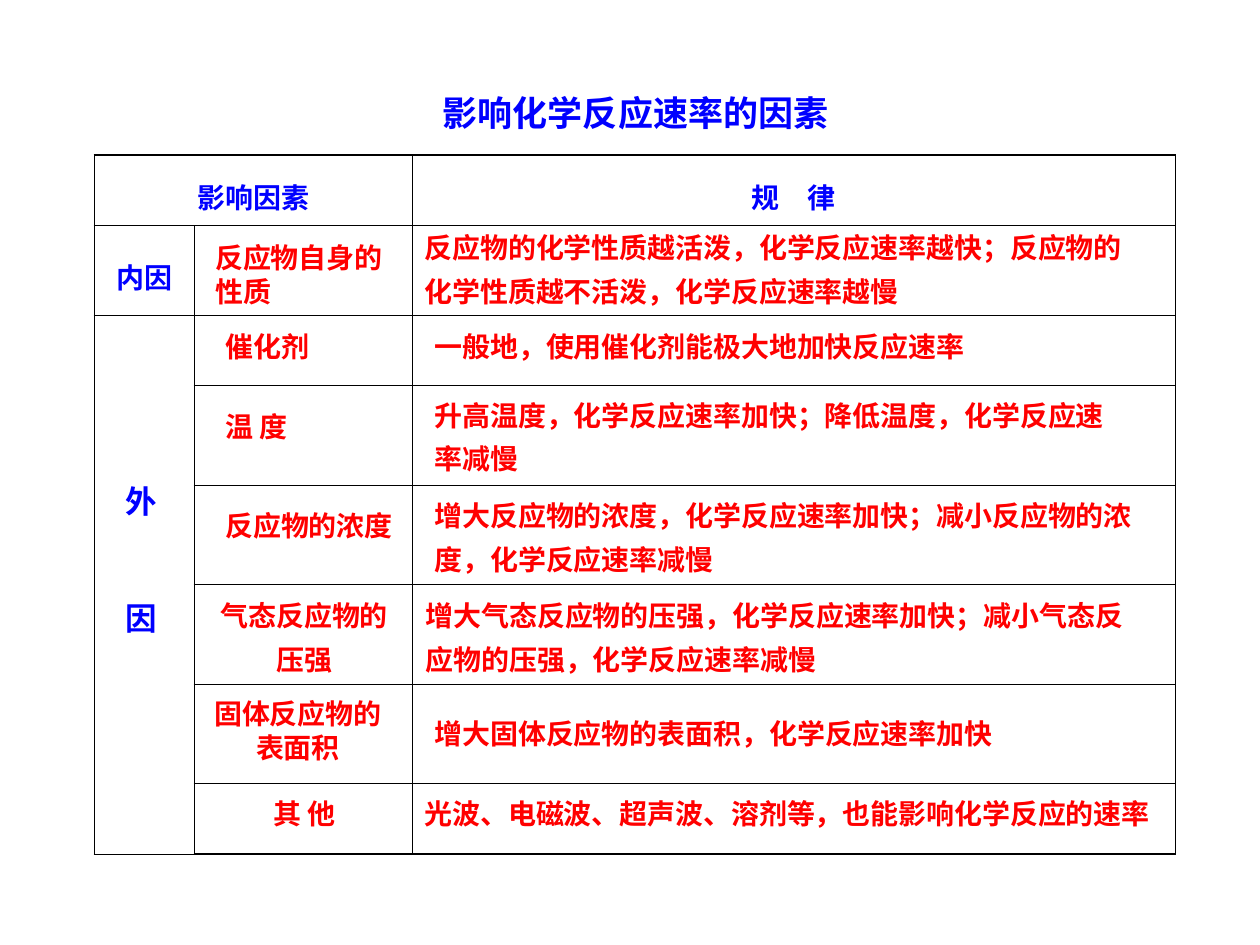
from dataclasses import dataclass
from itertools import accumulate

from lxml.etree import SubElement
from pptx import Presentation
from pptx.dml.color import RGBColor
from pptx.enum.text import MSO_ANCHOR, MSO_AUTO_SIZE, PP_ALIGN
from pptx.oxml.ns import qn
from pptx.util import Inches, Pt

BLUE, RED, BLACK = "0000FF", "FF0000", "000000"
SANS, ARIAL = "Noto Sans CJK SC", "Arial"
LOOSE = 1.3
LINE_HEIGHT, PADDING = 0.27, 0.1
OUTER, INNER = 1.08, 0.45
LEFT, TOP = 0.75, 1.23
COLUMNS = [0.79, 1.73, 6.06]
ROWS = [0.56, 0.71, 0.56, 0.79, 0.79, 0.79, 0.79, 0.56]
HEADERS = {0: "影响因素", 2: "规　律"}


@dataclass
class Label:
    row: int
    column: int
    shift: tuple
    width: float
    paragraphs: list
    lines: int = 1
    spacing: float = 1
    color: str = RED
    font: str = SANS
    size: int = 16
    gap: int = 0
    centered: bool = False
    wrap: bool = True


LABELS = [
    Label(1, 0, (0.08, 0.23), 0.79, ["内因"], color=BLUE),
    Label(2, 0, (0.15, 1.25), 0.61, ["外", "因"], 4, 1.1, BLUE, ARIAL, 18, 43),
    Label(1, 1, (0.07, 0.07), 1.57, ["反应物自身的性质"], 2),
    Label(2, 1, (0.15, 0.07), 1.1, ["催化剂"]),
    Label(3, 1, (0.15, 0.14), 1.02, ["温 度"]),
    Label(4, 1, (0.15, 0.14), 1.73, ["反应物的浓度"]),
    Label(5, 1, (-0.01, -0.02), 1.77, ["气态反应物的", "压强"], 2, LOOSE, centered=True),
    Label(6, 1, (-0.24, 0.05), 2.13, ["固体反应物的", "表面积"], 2, font=ARIAL, centered=True),
    Label(7, 1, (0.53, 0.05), 0.74, ["其 他"], wrap=False),
    Label(1, 2, (0, -0.09), 5.91,
          ["反应物的化学性质越活泼，化学反应速率越快；反应物的化学性质越不活泼，化学反应速率越慢"], 2, LOOSE),
    Label(2, 2, (0.08, -0.01), 4.96, ["一般地，使用催化剂能极大地加快反应速率"], 1, LOOSE),
    Label(3, 2, (0.08, -0.03), 5.67,
          ["升高温度，化学反应速率加快；降低温度，化学反应速率减慢"], 2, LOOSE),
    Label(4, 2, (0.08, -0.02), 5.83,
          ["增大反应物的浓度，化学反应速率加快；减小反应物的浓度，化学反应速率减慢"], 2, LOOSE),
    Label(5, 2, (0.01, -0.02), 5.97,
          ["增大气态反应物的压强，化学反应速率加快；减小气态反", "应物的压强，化学反应速率减慢"], 2, LOOSE),
    Label(6, 2, (0.08, 0.13), 5.91, ["增大固体反应物的表面积，化学反应速率加快"], 1, LOOSE, font=ARIAL),
    Label(7, 2, (0, 0.05), 6.22, ["光波、电磁波、超声波、溶剂等，也能影响化学反应的速率"]),
]


def style(paragraph, color, size=16, font=SANS, spacing=1, centered=False):
    paragraph.alignment = PP_ALIGN.CENTER if centered else PP_ALIGN.LEFT
    paragraph.line_spacing = spacing
    paragraph.font.name = font
    paragraph.font.size = Pt(size)
    paragraph.font.bold = True
    paragraph.font.color.rgb = RGBColor.from_string(color)
    properties = paragraph._p.pPr.find(qn("a:defRPr"))
    SubElement(properties, qn("a:ea")).set("typeface", SANS)


def add_text(page, left, top, height, label):
    box = page.shapes.add_textbox(*map(Inches, (left, top, label.width, height)))
    frame = box.text_frame
    frame.word_wrap = label.wrap
    frame.auto_size = MSO_AUTO_SIZE.SHAPE_TO_FIT_TEXT
    for index, text in enumerate(label.paragraphs):
        paragraph = frame.add_paragraph() if index else frame.paragraphs[0]
        paragraph.text = text
        if index and label.gap:
            paragraph.space_before = Pt(label.gap)
        style(paragraph, label.color, label.size, label.font, label.spacing, label.centered)


def set_borders(cell, widths):
    properties = cell._tc.get_or_add_tcPr()
    for position, (side, width) in enumerate(widths.items()):
        line = properties.makeelement(qn(f"a:ln{side}"), {"w": str(Pt(width))})
        fill = SubElement(line, qn("a:solidFill"))
        SubElement(fill, qn("a:srgbClr")).set("val", BLACK)
        properties.insert(position, line)


def add_grid(page):
    frame = page.shapes.add_table(len(ROWS), len(COLUMNS), *map(
        Inches, (LEFT, TOP, sum(COLUMNS), sum(ROWS))))
    table = frame.table
    table.first_row = table.horz_banding = False
    for column, width in zip(table.columns, COLUMNS):
        column.width = Inches(width)
    for row, height in zip(table.rows, ROWS):
        row.height = Inches(height)
    last_row, last_column = len(ROWS) - 1, len(COLUMNS) - 1
    for r in range(len(ROWS)):
        for c in range(len(COLUMNS)):
            cell = table.cell(r, c)
            cell.fill.background()
            outer = {"L": c == 0, "R": c == last_column, "T": r == 0, "B": r == last_row}
            set_borders(cell, {side: OUTER if edge else INNER for side, edge in outer.items()})
    table.cell(0, 0).merge(table.cell(0, 1))
    table.cell(2, 0).merge(table.cell(last_row, 0))
    for column, text in HEADERS.items():
        cell = table.cell(0, column)
        cell.text = text
        cell.vertical_anchor = MSO_ANCHOR.MIDDLE
        style(cell.text_frame.paragraphs[0], BLUE, spacing=LOOSE, centered=True)


def main():
    deck = Presentation()
    deck.slide_width, deck.slide_height = Inches(10), Inches(7.5)
    page = deck.slides.add_slide(deck.slide_layouts[6])
    title = Label(0, 0, (0, 0), 5.91, ["影响化学反应速率的因素"], color=BLUE, size=20, centered=True)
    add_text(page, 2.09, 0.68, 0.44, title)
    add_grid(page)
    column_lefts = list(accumulate(COLUMNS, initial=LEFT))
    row_tops = list(accumulate(ROWS, initial=TOP))
    for label in LABELS:
        across, down = label.shift
        height = PADDING + label.lines * LINE_HEIGHT * label.spacing
        add_text(page, column_lefts[label.column] + across, row_tops[label.row] + down, height, label)
    deck.save("out.pptx")


if __name__ == "__main__":
    main()
